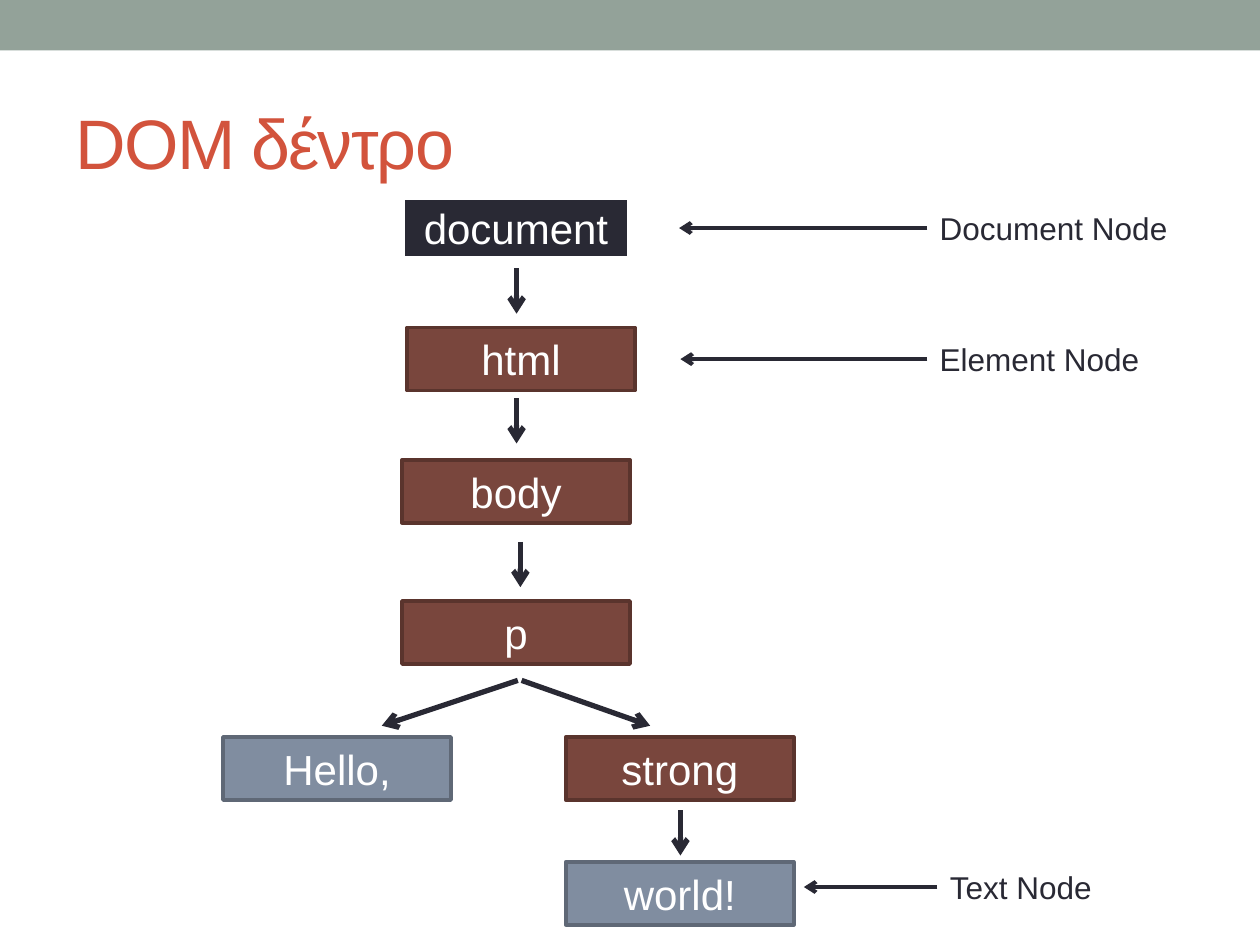
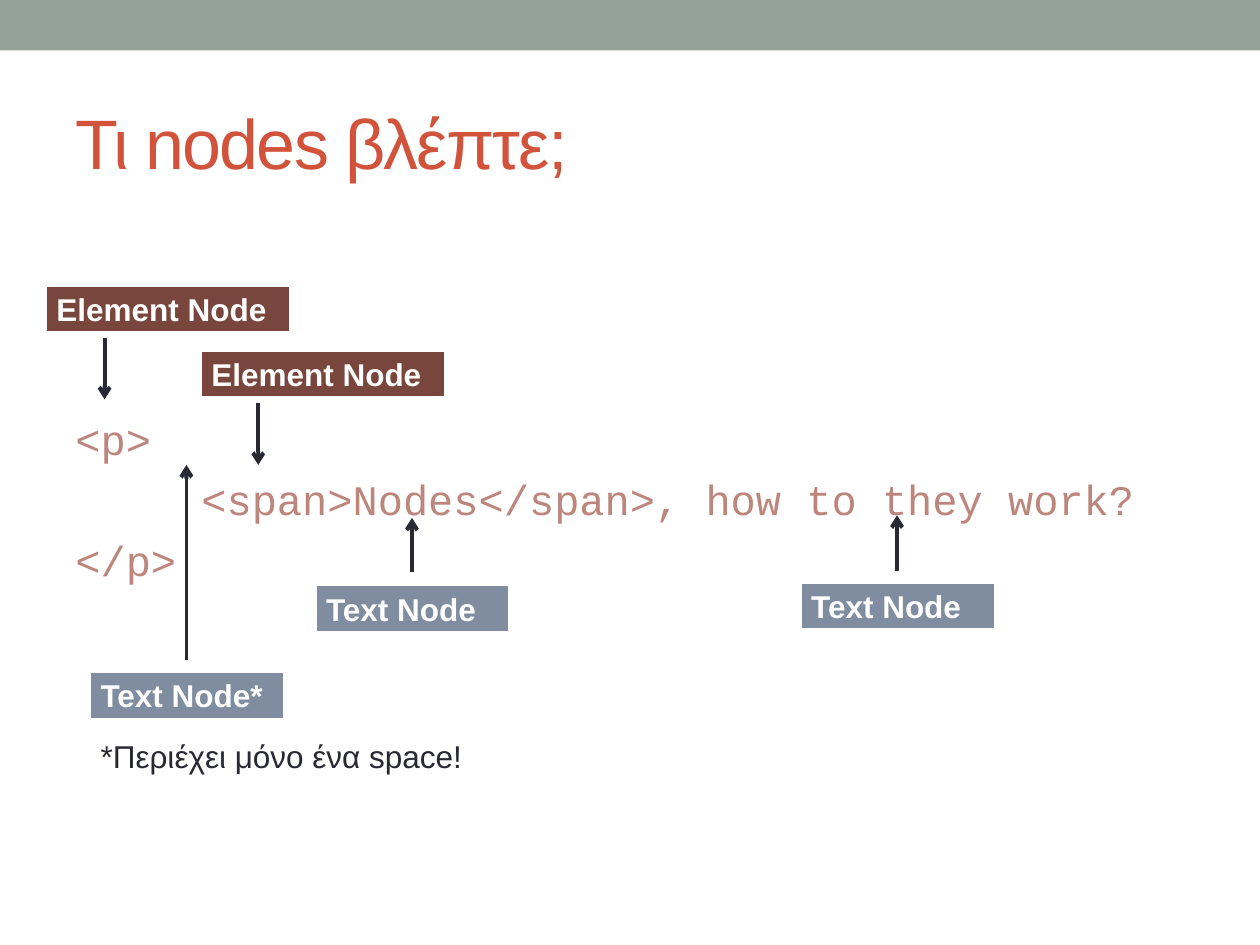
from lxml import etree
from pptx import Presentation
from pptx import util as u
from pptx.dml.color import RGBColor
from pptx.enum import shapes, text
from pptx.oxml import ns

# Shared style
SAGE = RGBColor(0x93, 0xA2, 0x99)
RED = RGBColor(0xD2, 0x53, 0x3C)
INK = RGBColor(0x29, 0x29, 0x34)
BROWN = RGBColor(0x79, 0x46, 0x3D)
DARK_BROWN = RGBColor(0x5A, 0x34, 0x2D)
SLATE = RGBColor(0x80, 0x8D, 0xA0)
DARK_SLATE = RGBColor(0x5F, 0x68, 0x76)
ROSE = RGBColor(0xBD, 0x86, 0x7C)
WHITE = RGBColor(0xFF, 0xFF, 0xFF)

ELEMENT = {"fill": BROWN, "line": DARK_BROWN}
TEXT = {"fill": SLATE, "line": DARK_SLATE}
DOCUMENT = {"fill": INK, "line": WHITE, "line_width": 3.5}
NODE_WIDTH, NODE_HEIGHT = 1.81, 0.5
TITLE_ONLY = 5


class Deck:
    """Holds the presentation, its style and the current slide."""

    def __init__(self):
        self.presentation = Presentation()
        self.presentation.slide_width = u.Inches(10)
        self.presentation.slide_height = u.Inches(7.5)
        self.slide = None

    def new_slide(self, title):
        layout = self.presentation.slide_layouts[TITLE_ONLY]
        self.slide = self.presentation.slides.add_slide(layout)
        self.box(0, 0, 10, 0.4, SAGE)
        shape = self.slide.shapes.title
        places = {"left": 0.5, "top": 0.58, "width": 9, "height": 1.08}
        for name, value in places.items():
            setattr(shape, name, u.Inches(value))
        shape.text_frame.vertical_anchor = text.MSO_ANCHOR.MIDDLE
        self.fill_text(shape, [title], size=40, color=RED)
        run = shape.text_frame.paragraphs[0].runs[0]
        run.font._element.set("spc", "-100")

    def fill_text(self, shape, lines, size=18, color=INK, font="Arial",
                  bold=False, align=text.PP_ALIGN.LEFT):
        frame = shape.text_frame
        frame.word_wrap = True
        style = {"name": font, "size": u.Pt(size), "bold": bold}
        for index, line in enumerate(lines):
            paragraph = frame.add_paragraph() if index else frame.paragraphs[0]
            paragraph.alignment = align
            run = paragraph.add_run()
            run.text = line
            for name, value in style.items():
                setattr(run.font, name, value)
            run.font.color.rgb = color

    def box(self, left, top, width, height, fill, line=None, line_width=2.08):
        shape = self.slide.shapes.add_shape(
            shapes.MSO_SHAPE.RECTANGLE,
            *map(u.Inches, (left, top, width, height)))
        shape.shadow.inherit = False
        shape.fill.solid()
        shape.fill.fore_color.rgb = fill
        if line is None:
            shape.line.fill.background()
        else:
            shape.line.color.rgb = line
            shape.line.width = u.Pt(line_width)
        shape.text_frame.vertical_anchor = text.MSO_ANCHOR.TOP
        return shape

    def node(self, label, left, top, style):
        shape = self.box(left, top, NODE_WIDTH, NODE_HEIGHT, **style)
        self.fill_text(shape, [label], size=24, color=WHITE,
                       align=text.PP_ALIGN.CENTER)
        shape.text_frame.auto_size = text.MSO_AUTO_SIZE.SHAPE_TO_FIT_TEXT

    def tag(self, label, left, top, width, fill):
        shape = self.box(left, top, width, 0.4, fill, WHITE, 3.5)
        self.fill_text(shape, [label], color=WHITE, bold=True)
        shape.text_frame.auto_size = text.MSO_AUTO_SIZE.SHAPE_TO_FIT_TEXT

    def text_box(self, lines, left, top, width, height=0.4, **style):
        shape = self.slide.shapes.add_textbox(
            *map(u.Inches, (left, top, width, height)))
        self.fill_text(shape, lines, **style)
        return shape

    def arrow(self, start, end, width=2.25):
        connector = self.slide.shapes.add_connector(
            shapes.MSO_CONNECTOR.STRAIGHT, *map(u.Inches, (*start, *end)))
        connector.line.color.rgb = INK
        connector.line.width = u.Pt(width)
        properties = connector.element.spPr
        line = properties.find(ns.qn("a:ln"))
        etree.SubElement(line, ns.qn("a:tailEnd"), type="arrow")
        etree.SubElement(properties, ns.qn("a:effectLst"))


deck = Deck()

# Slide 1: the tree
deck.new_slide("DOM δέντρο")
for label, left, top, style in (
        ("document", 3.19, 1.56, DOCUMENT),
        ("html", 3.23, 2.6, ELEMENT),
        ("body", 3.19, 3.65, ELEMENT),
        ("p", 3.19, 4.77, ELEMENT),
        ("Hello,", 1.77, 5.85, TEXT),
        ("strong", 4.49, 5.85, ELEMENT),
        ("world!", 4.49, 6.84, TEXT)):
    deck.node(label, left, top, style)

# Branches, each dropping by the same height
for start_x, end_x, top in ((4.1, 4.1, 2.13), (4.1, 4.1, 3.16),
                            (4.13, 4.13, 4.3), (4.11, 3.03, 5.4),
                            (4.14, 5.16, 5.4), (5.4, 5.4, 6.43)):
    deck.arrow((start_x, top), (end_x, top + 0.36), width=3)

# Node kinds, each with an arrow to its row
for label, left, top, tip in (("Document Node", 7.36, 1.61, 5.39),
                              ("Element Node", 7.36, 2.65, 5.4),
                              ("Text Node", 7.44, 6.84, 6.38)):
    deck.text_box([label], left, top, 2.28)
    deck.arrow((left, top + 0.2), (tip, top + 0.2))

# Slide 2: markup with its nodes pointed out
deck.new_slide("Τι nodes βλέπτε;")
code = deck.text_box(
    ["<p>", "<span>Nodes</span>, how to they work?", "</p>"],
    0.5, 3.23, 9, 1.5, size=24, color=ROSE, font="Courier New")
for paragraph in code.text_frame.paragraphs[1:]:
    paragraph.space_before = u.Pt(5.8)
inner = code.text_frame.paragraphs[1]
inner._p.get_or_add_pPr().set("marL", str(u.Inches(1)))

for label, left, top, width, fill, arrow_x, start_y, end_y in (
        ("Element Node", 0.35, 2.25, 1.97, BROWN, 0.83, 2.68, 3.17),
        ("Element Node", 1.58, 2.77, 1.97, BROWN, 2.05, 3.2, 3.69),
        ("Text Node", 2.49, 4.63, 1.57, SLATE, 3.27, 4.54, 4.11),
        ("Text Node", 6.34, 4.61, 1.57, SLATE, 7.12, 4.53, 4.09),
        ("Text Node*", 0.7, 5.32, 1.57, SLATE, 1.48, 5.24, 3.69)):
    deck.tag(label, left, top, width, fill)
    deck.arrow((arrow_x, start_y), (arrow_x, end_y))
deck.text_box(["*Περιέχει μόνο ένα space!"], 0.7, 5.8, 3.35)

deck.presentation.save("out.pptx")
